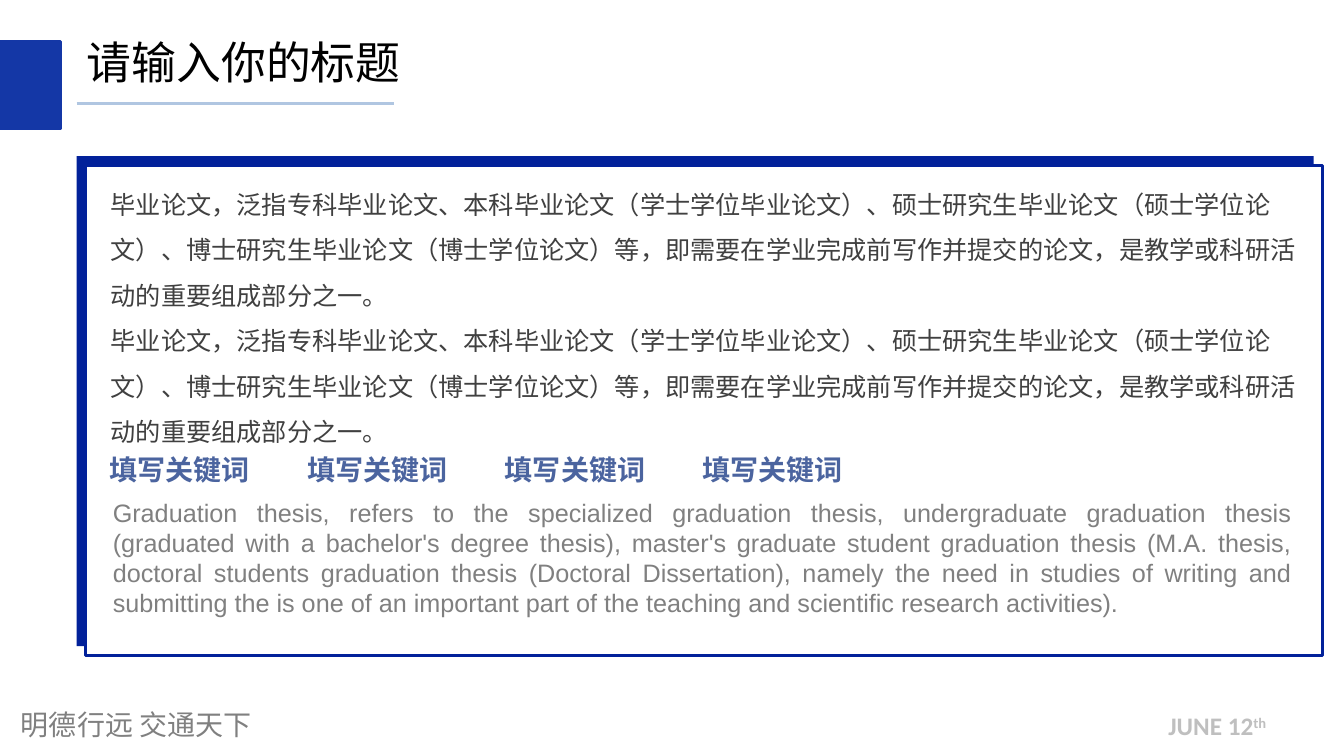
from lxml.etree import SubElement as Sub
from pptx import Presentation
from pptx.dml.color import RGBColor as RGB
from pptx.enum.shapes import MSO_CONNECTOR as Conn, MSO_SHAPE as Kind
from pptx.enum.text import MSO_ANCHOR as Anchor, MSO_AUTO_SIZE as Auto, PP_ALIGN as Align
from pptx.oxml.ns import qn
from pptx.util import Inches as In, Pt

NAVY = RGB(0x02, 0x21, 0x9A)
BLUE = RGB(0x14, 0x37, 0xA6)
PALE = RGB(0xB0, 0xC6, 0xE1)
SLATE = RGB(0x4B, 0x64, 0x9F)
BLACK = RGB(0, 0, 0)
DARK = RGB(0x40, 0x40, 0x40)
GREY = RGB(0x80, 0x80, 0x80)
SILVER = RGB(0xBF, 0xBF, 0xBF)
WHITE = RGB(255, 255, 255)
SANS = "Noto Sans CJK SC"

THESIS = "毕业论文，泛指专科毕业论文、本科毕业论文（学士学位毕业论文）、硕士研究生毕业论文（硕士学位论文）、博士研究生毕业论文（博士学位论文）等，即需要在学业完成前写作并提交的论文，是教学或科研活动的重要组成部分之一。"
ENGLISH = (
    "Graduation thesis, refers to the specialized graduation thesis, undergraduate graduation thesis "
    "(graduated with a bachelor's degree thesis), master's graduate student graduation thesis "
    "(M.A. thesis, doctoral students graduation thesis (Doctoral Dissertation), namely the need in "
    "studies of writing and submitting the is one of an important part of the teaching and "
    "scientific research activities)."
)

deck = Presentation()
deck.slide_width, deck.slide_height = In(13.33), In(7.5)
page = deck.slides.add_slide(deck.slide_layouts[5])
shapes = page.shapes


def write(box, paras, size, color, face="Arial", east=SANS, bold=False, wrap=True, align=Align.LEFT, gap=1):
    frame = box.text_frame
    frame.word_wrap = wrap
    frame.auto_size = Auto.NONE
    frame.vertical_anchor = Anchor.TOP
    for i, runs in enumerate(paras):
        para = frame.add_paragraph() if i else frame.paragraphs[0]
        para.alignment = align
        para.line_spacing = gap
        for text, lift in runs:
            run = para.add_run()
            run.text = text
            font = run.font
            font.size, font.bold, font.name = Pt(size), bold, face
            font.color.rgb = color
            props = run._r.get_or_add_rPr()
            Sub(props, qn("a:ea")).set("typeface", east)
            if lift:
                props.set("baseline", str(lift * 1000))


def block(x, y, w, h, fill, edge=None, width=0):
    box = shapes.add_shape(Kind.RECTANGLE, In(x), In(y), In(w), In(h))
    box.shadow.inherit = False
    box.fill.solid()
    box.fill.fore_color.rgb = fill
    if edge is None:
        box.line.fill.background()
    else:
        box.line.color.rgb = edge
        box.line.width = Pt(width)


block(0, 0.41, 0.6, 0.87, BLUE, BLUE, 2)
title = shapes.title
title.left, title.top, title.width, title.height = In(0.76), In(0.29), In(3.34), In(0.64)
write(title, [[("请输入你的标题", 0)]], 32, BLACK, SANS, wrap=False)

rule = shapes.add_connector(Conn.STRAIGHT, In(0.76), In(1.03), In(3.91), In(1.03))
rule.line.color.rgb = PALE
rule.line.width = Pt(2.25)
Sub(rule._element.spPr, qn("a:effectLst"))

block(0.76, 1.55, 12.27, 4.86, NAVY)
block(0.85, 1.64, 12.27, 4.86, WHITE, NAVY, 2.25)

NOTO = "Noto Sans CJK JP"
texts = [
    (0.11, 6.97, 3.94, 0.44, [[("明德行远 交通天下", 0)]], 20, GREY, dict(face=NOTO, east=NOTO)),
    (11.49, 7, 1.2, 0.4, [[("JUNE 12", 0), ("th", 30)]], 18, SILVER, dict(face="Calibri", bold=True, wrap=False)),
    (1, 1.68, 12.09, 3.28, [[(THESIS, 0)]] * 2, 18, DARK, dict(gap=1.5)),
    (1.02, 4.88, 11.89, 1.61, [[(ENGLISH, 0)]], 18, GREY, dict(align=Align.JUSTIFY)),
]
for col in range(4):
    texts.append((0.99 + 1.96 * col, 4.44, 1.8, 0.44, [[("填写关键词", 0)]], 20, SLATE, dict(bold=True, wrap=False)))
for x, y, w, h, paras, size, color, style in texts:
    write(shapes.add_textbox(In(x), In(y), In(w), In(h)), paras, size, color, **style)

deck.save("out.pptx")
